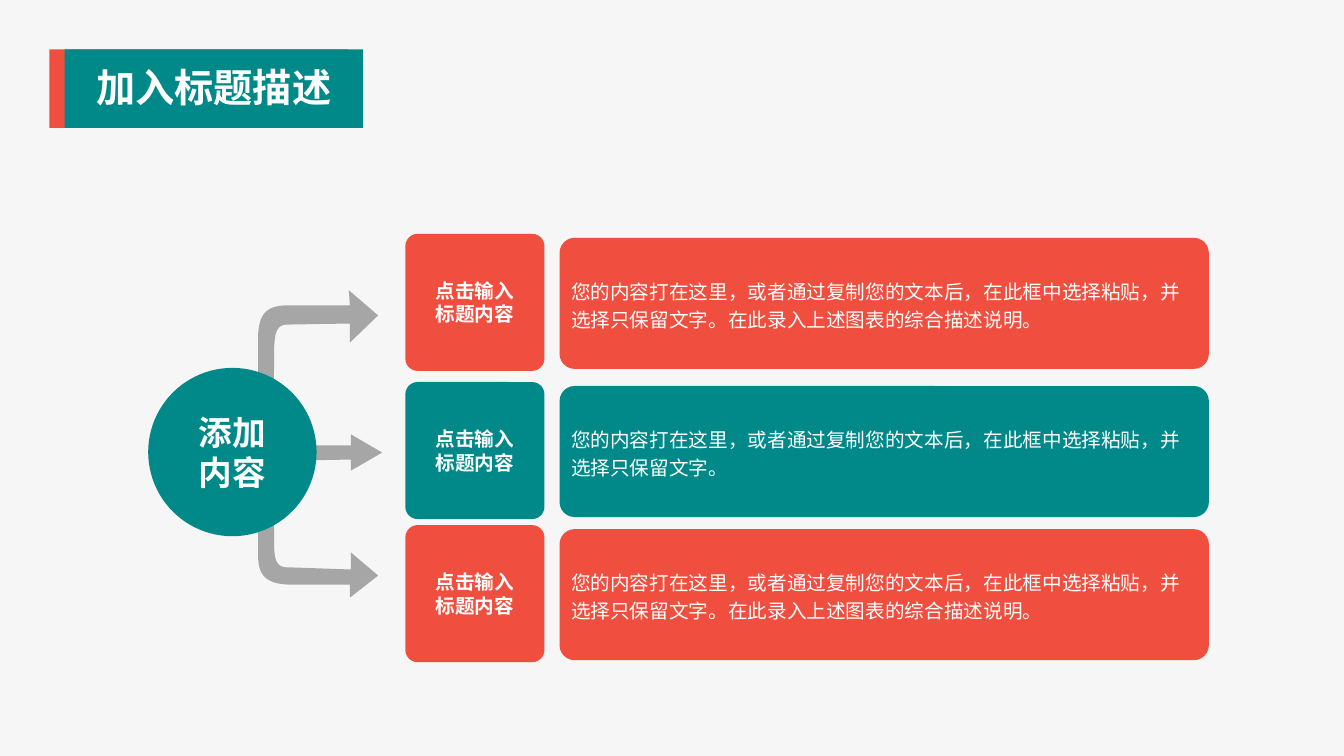
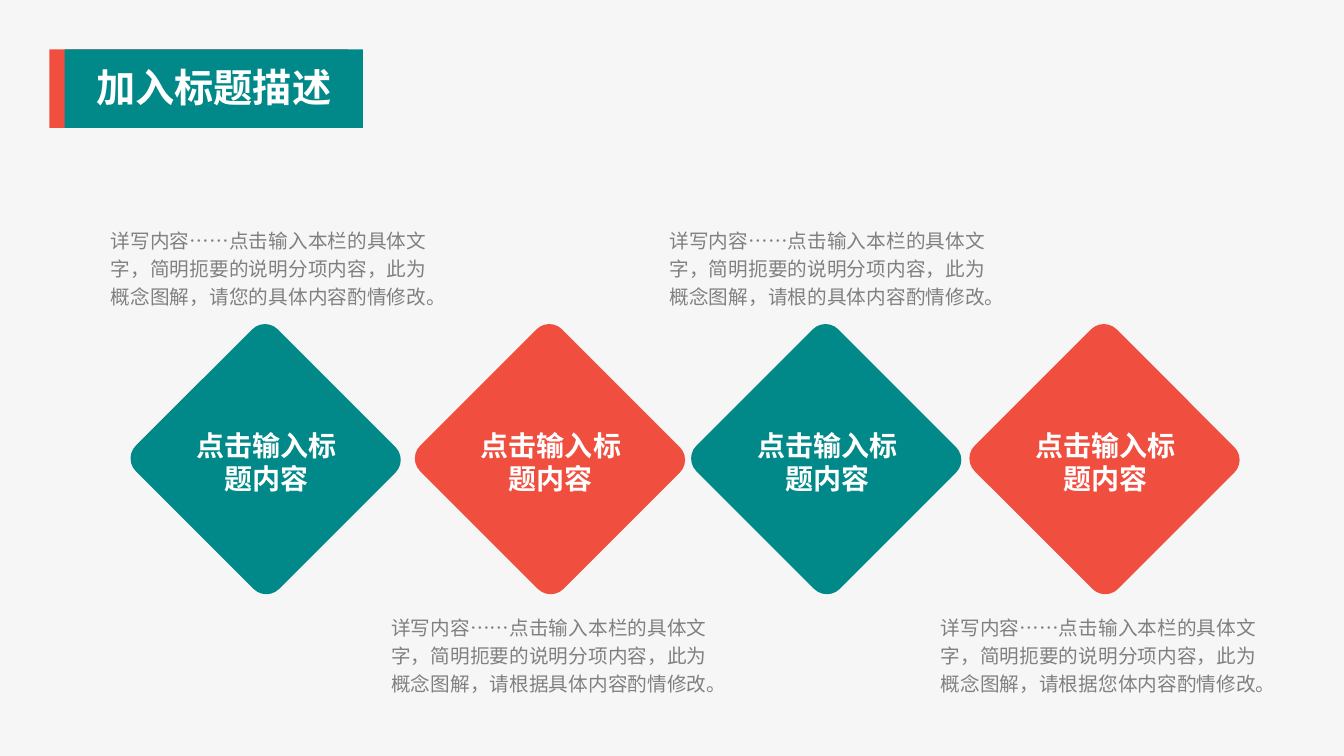
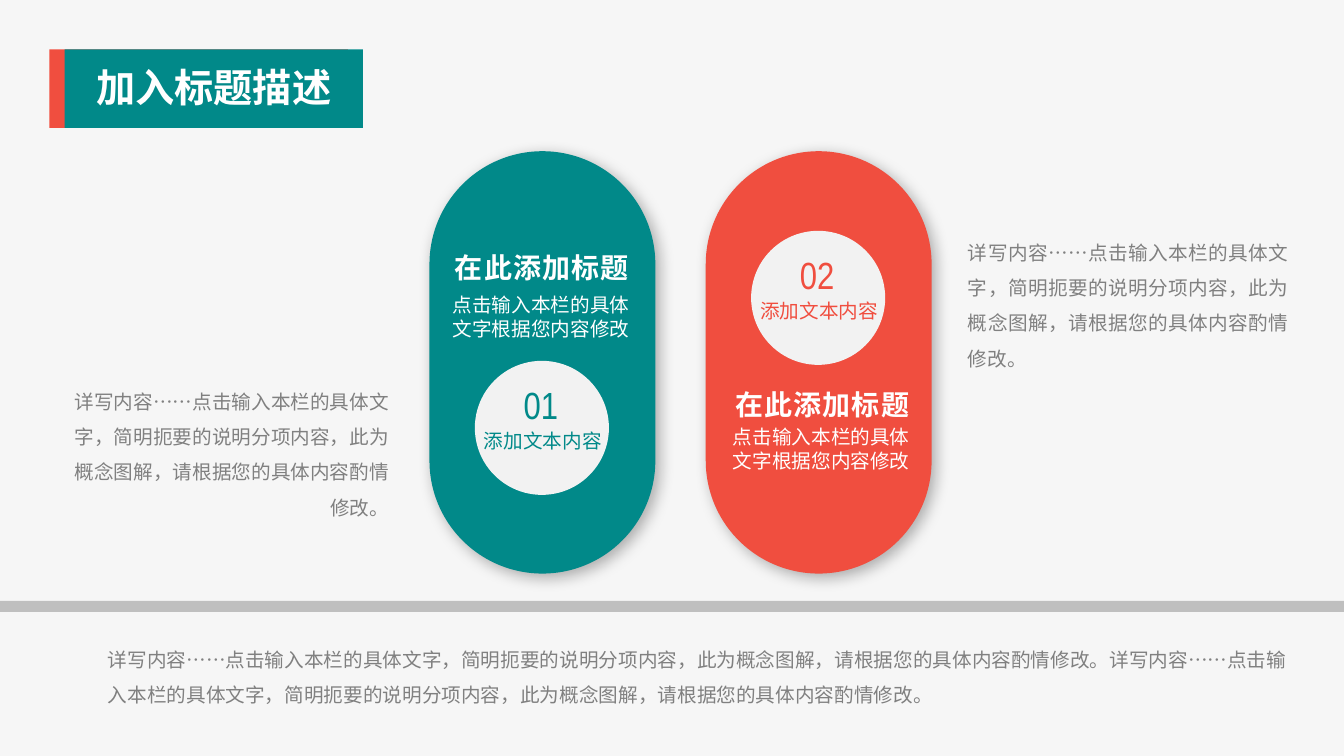
import dataclasses

import pptx
import pptx.dml.color
import pptx.enum.lang
import pptx.enum.shapes
import pptx.enum.text
import pptx.oxml
import pptx.oxml.ns
import pptx.util

Inches = pptx.util.Inches
SHAPE = pptx.enum.shapes.MSO_SHAPE
ALIGN = pptx.enum.text.PP_ALIGN
ANCHOR = pptx.enum.text.MSO_ANCHOR


@dataclasses.dataclass(frozen=True)
class Theme:
    background: str = "F6F6F6"
    teal: str = "018989"
    red: str = "F04E3F"
    white: str = "FFFFFF"
    disc: str = "F2F2F2"
    arrow: str = "A6A6A6"
    rule: str = "BFBFBF"
    body: str = "808080"
    font: str = "Noto Sans CJK SC"
    heading_font: str = "Arial"
    number_font: str = "Arial Narrow"
    label_font: str = "Calibri"
    title_size: int = 28
    number_size: int = 27
    hub_size: int = 24
    heading_size: int = 20
    body_size: int = 14


THEME = Theme()
TITLE = "加入标题描述"
LABEL = "点击输入标题内容"
DETAIL = "详写内容……点击输入本栏的具体文字，简明扼要的说明分项内容，此为概念图解，{}内容酌情修改。"
FULL_DETAIL = DETAIL.format("请根据您的具体")
SMALL_INSET = (0.07, 0.04)

# Outlines in inches from the box corner: two numbers are a line's end,
# six are a cubic curve's two handles and end.
UPPER_ARROW = [
    (0.15, 1.69), (0.16, 0.55), (0.17, 0.34, 0.23, 0.34, 0.33, 0.34),
    (0.91, 0.33), (0.91, 0.52), (1.19, 0.25), (0.9, 0), (0.91, 0.15),
    (0.91, 0.15, 0.51, 0.15, 0.29, 0.15), (0.07, 0.15, 0, 0.25, 0, 0.48),
    (0, 1.71), (0.02, 1.92, 0.11, 1.9, 0.15, 1.69),
]
MIDDLE_ARROW = [
    (0, 0.27), (1.11, 0.25), (1.11, 0.36), (1.42, 0.18),
    (1.11, 0), (1.11, 0.11), (0, 0.11),
]
LOWER_ARROW = [
    (0.15, 0.2), (0.16, 1.18), (0.17, 1.36, 0.23, 1.36, 0.34, 1.36),
    (0.92, 1.38), (0.92, 1.21), (1.19, 1.44), (0.91, 1.66), (0.91, 1.53),
    (0.91, 1.53, 0.52, 1.53, 0.3, 1.53), (0.08, 1.52, 0, 1.44, 0, 1.24),
    (0, 0.18), (0.03, 0, 0.12, 0.02, 0.15, 0.2),
]


def color(value):
    return pptx.dml.color.RGBColor.from_string(value)


def paint(shape, fill):
    shape.shadow.inherit = False
    shape.fill.solid()
    shape.fill.fore_color.rgb = color(fill)
    shape.line.fill.background()


def write(shape, text, size=THEME.body_size, fill=THEME.white, font=THEME.font,
          bold=False, align=ALIGN.LEFT, anchor=ANCHOR.TOP, line_spacing=None,
          inset=(0.1, 0.05), tracking=None):
    """Fill a shape with one paragraph for each line of text."""
    frame = shape.text_frame
    frame.word_wrap = True
    frame.auto_size = pptx.enum.text.MSO_AUTO_SIZE.NONE
    frame.vertical_anchor = anchor
    frame.margin_left = frame.margin_right = Inches(inset[0])
    frame.margin_top = frame.margin_bottom = Inches(inset[1])
    frame.text = text
    for paragraph in frame.paragraphs:
        paragraph.alignment = align
        if line_spacing:
            paragraph.line_spacing = line_spacing
        for run in paragraph.runs:
            run.font.name = font
            run.font.size = pptx.util.Pt(size)
            run.font.bold = bold
            run.font.color.rgb = color(fill)
            run.font.language_id = pptx.enum.lang.MSO_LANGUAGE_ID.SIMPLIFIED_CHINESE
            properties = run._r.get_or_add_rPr()
            east_asian = pptx.oxml.parse_xml(
                f'<a:ea {pptx.oxml.ns.nsdecls("a")} typeface="{THEME.font}"/>')
            properties.find(pptx.oxml.ns.qn("a:latin")).addnext(east_asian)
            if tracking:
                properties.set("spc", str(tracking))


def add_block(slide, kind, box, fill, adjustment=None, rotation=0):
    shape = slide.shapes.add_shape(kind, *map(Inches, box))
    paint(shape, fill)
    shape.rotation = rotation
    if adjustment is not None:
        shape.adjustments[0] = adjustment
    return shape


def add_text(slide, box, text, **text_format):
    write(slide.shapes.add_textbox(*map(Inches, box)), text, **text_format)


def add_soft_shadow(shape):
    effects = shape._element.spPr.find(pptx.oxml.ns.qn("a:effectLst"))
    effects.append(pptx.oxml.parse_xml(
        f'<a:outerShdw {pptx.oxml.ns.nsdecls("a")} blurRad="139700" dist="50800" '
        'dir="2700000" algn="tl" rotWithShape="0"><a:srgbClr val="000000">'
        '<a:alpha val="29000"/></a:srgbClr></a:outerShdw>'))


def flatten(outline, steps=12):
    """Turn the curves of an outline into short line segments."""
    points = []
    for part in outline:
        if len(part) == 2:
            points.append(part)
            continue
        start, first, second, end = points[-1], part[:2], part[2:4], part[4:]
        for step in range(1, steps + 1):
            t = step / steps
            u = 1 - t
            points.append(tuple(
                u ** 3 * a + 3 * u * u * t * b + 3 * u * t * t * c + t ** 3 * d
                for a, b, c, d in zip(start, first, second, end)))
    return points


def add_arrow(slide, left, top, outline):
    points = [(Inches(x), Inches(y)) for x, y in flatten(outline)]
    builder = slide.shapes.build_freeform(*points[0])
    builder.add_line_segments(points[1:], close=True)
    paint(builder.convert_to_shape(Inches(left), Inches(top)), THEME.arrow)


def add_titled_slide(presentation):
    slide = presentation.slides.add_slide(presentation.slide_layouts[5])
    for left, fill in ((0.49, THEME.red), (0.64, THEME.teal)):
        add_block(slide, SHAPE.RECTANGLE, (left, 0.49, 2.96, 0.78), fill)
    title = slide.shapes.title
    title.left, title.top, title.width, title.height = map(Inches, (0.47, 0.59, 3.3, 0.55))
    write(title, TITLE, size=THEME.title_size, bold=True, align=ALIGN.CENTER,
          inset=SMALL_INSET)
    slide.shapes._spTree.append(title._element)  # in front of the bands
    return slide


def add_branch(slide, left, top, text, fill):
    """A square label card with its wide description card."""
    description = add_block(slide, SHAPE.ROUNDED_RECTANGLE,
                            (left + 1.53, top + 0.04, 6.44, 1.3), fill, 0.115)
    write(description, text, anchor=ANCHOR.MIDDLE, line_spacing=1.2, inset=(0.07, 0.03))
    card = add_block(slide, SHAPE.ROUNDED_RECTANGLE, (left, top, 1.38, 1.36), fill, 0.09)
    write(card, LABEL, bold=True, align=ALIGN.CENTER, anchor=ANCHOR.MIDDLE,
          inset=(0.25, 0.05))


def build_branches(presentation):
    slide = add_titled_slide(presentation)
    add_arrow(slide, 2.56, 4.27, LOWER_ARROW)
    add_arrow(slide, 2.37, 4.31, MIDDLE_ARROW)
    add_arrow(slide, 2.56, 2.88, UPPER_ARROW)
    hub = add_block(slide, SHAPE.OVAL, (1.47, 3.65, 1.67, 1.67), THEME.teal)
    write(hub, "添加\n内容", size=THEME.hub_size, font=THEME.heading_font, bold=True,
          align=ALIGN.CENTER, anchor=ANCHOR.MIDDLE)
    short = "您的内容打在这里，或者通过复制您的文本后，在此框中选择粘贴，并选择只保留文字。"
    long = short + "在此录入上述图表的综合描述说明。"
    for top, text, fill in ((2.32, long, THEME.red), (3.79, short, THEME.teal),
                            (5.21, long, THEME.red)):
        add_branch(slide, 4.02, top, text, fill)


def add_diamond(slide, left, top, fill):
    add_block(slide, SHAPE.ROUNDED_RECTANGLE, (left, top, 2.01, 1.99), fill, 0.09, 45)
    add_text(slide, (left + 0.2, top + 0.84, 1.63, 0.36), LABEL, size=THEME.heading_size,
             bold=True, align=ALIGN.CENTER, anchor=ANCHOR.MIDDLE)


def build_diamonds(presentation):
    slide = add_titled_slide(presentation)
    columns = (
        (1.63, 1.1, "请您的具体"),
        (4.45, 3.88, "请根据具体"),
        (7.19, 6.64, "请根的具体"),
        (9.95, 9.33, "请根据您体"),
    )
    for index, (left, caption_left, phrase) in enumerate(columns):
        fill, caption_top = ((THEME.teal, 2.22), (THEME.red, 6.06))[index % 2]
        add_diamond(slide, left, 3.56, fill)
        add_text(slide, (caption_left, caption_top, 3.13, 0.85), DETAIL.format(phrase),
                 fill=THEME.body, align=ALIGN.JUSTIFY, line_spacing=1.2, inset=(0, 0))


def add_pill(slide, left, top, number, fill, disc_top, heading_left, heading_top, text_gap):
    """A tall pill; the disc and heading offsets count from its corner."""
    pill = add_block(slide, SHAPE.ROUNDED_RECTANGLE, (left, top, 2.24, 4.19), fill, 0.5)
    add_soft_shadow(pill)
    disc_left, disc_top = left + 0.45, top + disc_top
    add_block(slide, SHAPE.OVAL, (disc_left, disc_top, 1.33, 1.33), THEME.disc)
    add_text(slide, (disc_left - 0.08, disc_top + 0.16, 1.47, 0.56), number,
             size=THEME.number_size, fill=fill, font=THEME.number_font, align=ALIGN.CENTER)
    add_text(slide, (disc_left - 0.06, disc_top + 0.63, 1.47, 0.34), "添加文本内容",
             fill=fill, font=THEME.label_font, align=ALIGN.CENTER)
    heading_left, heading_top = left + heading_left, top + heading_top
    add_text(slide, (heading_left, heading_top, 2.21, 0.44), "在此添加标题",
             size=THEME.heading_size, font=THEME.heading_font, bold=True,
             align=ALIGN.CENTER, tracking=80)
    add_text(slide, (heading_left + 0.12, heading_top + text_gap, 2.05, 0.57),
             "点击输入本栏的具体文字根据您内容修改")


def build_pills(presentation):
    slide = add_titled_slide(presentation)
    add_pill(slide, 4.26, 1.5, "01", THEME.teal, disc_top=2.08,
             heading_left=0.01, heading_top=0.94, text_gap=0.42)
    add_pill(slide, 7, 1.5, "02", THEME.red, disc_top=0.79,
             heading_left=0.05, heading_top=2.3, text_gap=0.37)
    for box, text, align in (
        ((1, 6.27, 11.86, 0.78), FULL_DETAIL * 2, ALIGN.LEFT),
        ((9.53, 2.23, 3.32, 1.49), FULL_DETAIL, ALIGN.JUSTIFY),
        ((0.61, 3.71, 3.32, 1.49), FULL_DETAIL, ALIGN.RIGHT),
    ):
        add_text(slide, box, text, fill=THEME.body, align=align, line_spacing=1.5,
                 inset=SMALL_INSET)
    add_block(slide, SHAPE.RECTANGLE, (0, 5.96, 13.33, 0.11), THEME.rule)


def main():
    presentation = pptx.Presentation()
    presentation.slide_width = Inches(13.33)
    presentation.slide_height = Inches(7.5)
    background = presentation.slide_master.background.fill
    background.solid()
    background.fore_color.rgb = color(THEME.background)
    build_branches(presentation)
    build_diamonds(presentation)
    build_pills(presentation)
    presentation.save("out.pptx")


if __name__ == "__main__":
    main()
